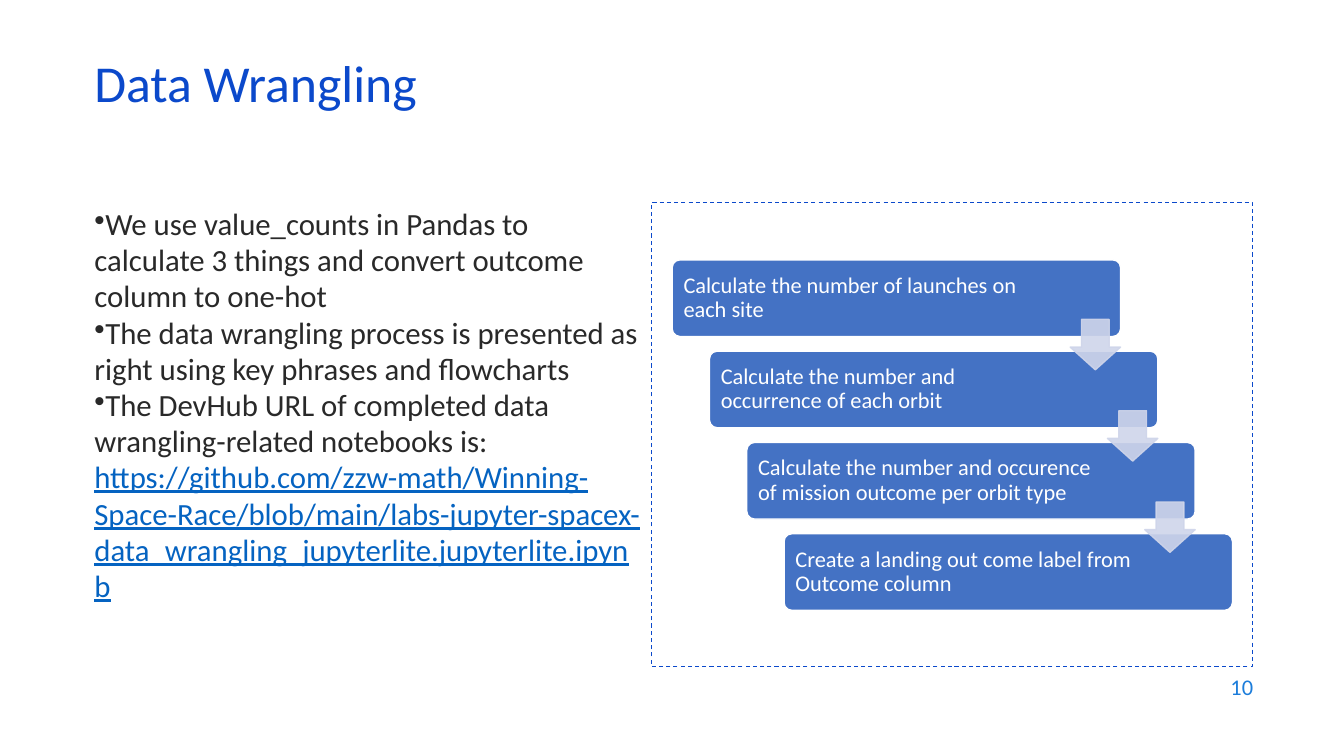
import dataclasses

import pptx
import pptx.dml.color
import pptx.enum.dml
import pptx.enum.shapes
import pptx.enum.text
import pptx.oxml
import pptx.oxml.ns
import pptx.util
from lxml import etree

Cm = pptx.util.Cm
Pt = pptx.util.Pt
Align = pptx.enum.text.PP_ALIGN
Anchor = pptx.enum.text.MSO_ANCHOR
Preset = pptx.enum.shapes.MSO_SHAPE

TITLE_BLUE = "0B49CB"
NUMBER_BLUE = "1C7DDB"
LINK_BLUE = "0563C1"
CARD_BLUE = "4472C4"
ARROW_GREY = "CFD5EA"
DARK = "292929"
WHITE = "FFFFFF"


@dataclasses.dataclass(frozen=True)
class Area:
    left: float
    top: float
    width: float
    height: float

    def lengths(self) -> list:
        return [Cm(value) for value in dataclasses.astuple(self)]

    def moved(self, right: float, down: float) -> "Area":
        return Area(self.left + right, self.top + down, self.width, self.height)


@dataclasses.dataclass(frozen=True)
class Bullet:
    text: str
    link: str = ""


BULLETS = [
    Bullet("We use value_counts in Pandas to calculate 3 things and convert "
           "outcome column to one-hot"),
    Bullet("The data wrangling process is presented as right using key phrases "
           "and flowcharts"),
    Bullet("The DevHub URL of completed data wrangling-related notebooks is:",
           "https://github.com/zzw-math/Winning-Space-Race/blob/main/"
           "labs-jupyter-spacex-data_wrangling_jupyterlite.jupyterlite.ipynb"),
]
STEPS = [
    "Calculate the number of launches on each site",
    "Calculate the number and occurrence of each orbit",
    "Calculate the number and occurence of mission outcome per orbit type",
    "Create a landing out come label from Outcome column",
]
FIRST_CARD = Area(16.94, 6.55, 11.3, 1.93)
FIRST_ARROW = Area(26.97, 8.05, 1.27, 1.27)
STEP_RIGHT, STEP_DOWN = 0.94, 2.3


def color(value: str) -> pptx.dml.color.RGBColor:
    return pptx.dml.color.RGBColor.from_string(value)


def add_span(para, text: str, *, size: float, fill: str, underline: bool = False) -> None:
    span = para.add_run()
    span.text = text
    span.font.name = "Calibri"
    span.font.size = Pt(size)
    span.font.color.rgb = color(fill)
    span.font.underline = underline


def write(box, text: str, *, size: float, fill: str, align=Align.LEFT,
          anchor=Anchor.MIDDLE, spacing: float = 1.0) -> None:
    frame = box.text_frame
    frame.word_wrap = True
    frame.vertical_anchor = anchor
    para = frame.paragraphs[0]
    para.alignment = align
    para.line_spacing = spacing
    add_span(para, text, size=size, fill=fill)


def add_box(page, area: Area):
    return page.shapes.add_textbox(*area.lengths())


def add_figure(page, preset, area: Area, *, fill: str = "", line: str, width: float = 1):
    figure = page.shapes.add_shape(preset, *area.lengths())
    figure.shadow.inherit = False
    if fill:
        figure.fill.solid()
        figure.fill.fore_color.rgb = color(fill)
    else:
        figure.fill.background()
    figure.line.color.rgb = color(line)
    figure.line.width = Pt(width)
    return figure


def add_bullets(page, area: Area) -> None:
    frame = add_box(page, area).text_frame
    frame.word_wrap = True
    for index, bullet in enumerate(BULLETS):
        para = frame.add_paragraph() if index else frame.paragraphs[0]
        para.line_spacing = 0.98
        properties = para._p.get_or_add_pPr()
        properties.set("marL", "0")
        properties.set("indent", "0")
        mark = etree.SubElement(properties, pptx.oxml.ns.qn("a:buChar"))
        mark.set("char", "•")
        add_span(para, bullet.text, size=22, fill=DARK)
        if bullet.link:
            para.add_line_break()
            add_span(para, bullet.link, size=22, fill=LINK_BLUE, underline=True)


def add_card(page, area: Area, text: str) -> None:
    card = add_figure(page, Preset.ROUNDED_RECTANGLE, area, fill=CARD_BLUE, line=WHITE)
    card.adjustments[0] = 0.1
    write(card, text, size=16, fill=WHITE, spacing=0.9)
    card.text_frame.margin_left = Cm(0.23)
    card.text_frame.margin_right = Cm(2.44)


def add_arrow(page, area: Area) -> None:
    arrow = add_figure(page, Preset.DOWN_ARROW, area, fill=ARROW_GREY, line=ARROW_GREY)
    arrow.adjustments[0] = 0.55
    arrow.adjustments[1] = 0.45
    for tone in arrow._element.spPr.iter(pptx.oxml.ns.qn("a:srgbClr")):
        etree.SubElement(tone, pptx.oxml.ns.qn("a:alpha")).set("val", "90000")


def main() -> None:
    deck = pptx.Presentation()
    deck.slide_width, deck.slide_height = Cm(33.87), Cm(19.05)
    page = deck.slides.add_slide(deck.slide_layouts[6])

    # Title, bullets and page number
    write(add_box(page, Area(2.13, 1.5, 29.21, 1.52)), "Data Wrangling",
          size=37, fill=TITLE_BLUE, spacing=0.7)
    add_bullets(page, Area(2.13, 5.08, 14.33, 12.09))
    write(add_box(page, Area(24.21, 16.74, 7.62, 1.12)), "10",
          size=16, fill=NUMBER_BLUE, align=Align.RIGHT)

    # Dashed frame around the flowchart
    border = add_figure(page, Preset.RECTANGLE, Area(16.41, 5.11, 15.16, 11.68),
                        line=TITLE_BLUE, width=0.75)
    border.line.dash_style = pptx.enum.dml.MSO_LINE.DASH

    # Staircase of steps, then the arrows over it
    for index, text in enumerate(STEPS):
        add_card(page, FIRST_CARD.moved(index * STEP_RIGHT, index * STEP_DOWN), text)
    for index in range(len(STEPS) - 1):
        add_arrow(page, FIRST_ARROW.moved(index * STEP_RIGHT, index * STEP_DOWN))

    deck.save("out.pptx")


if __name__ == "__main__":
    main()
